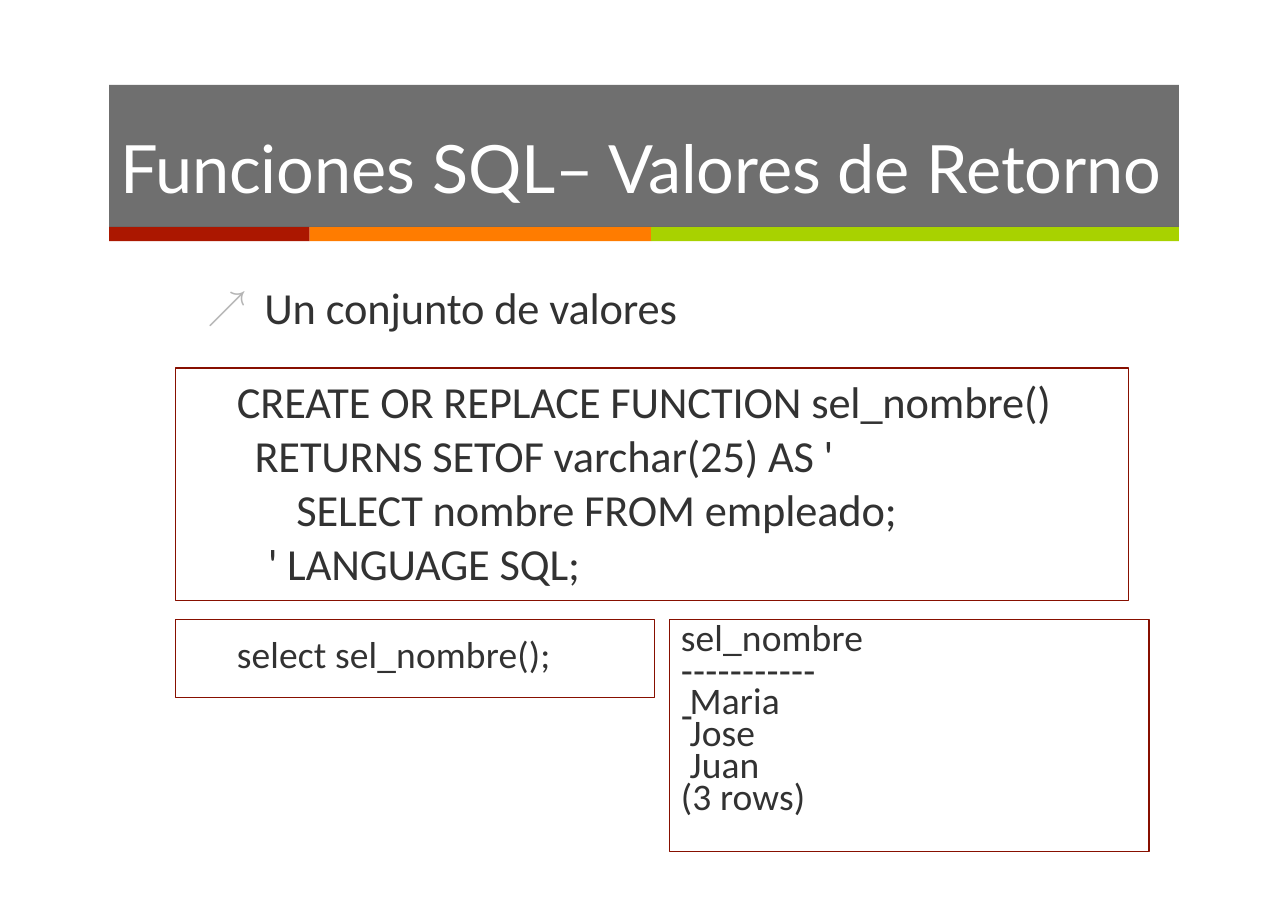
from dataclasses import dataclass

from lxml.etree import SubElement
from pptx import Presentation
from pptx.dml.color import RGBColor
from pptx.enum.shapes import MSO_SHAPE
from pptx.enum.text import MSO_ANCHOR, PP_ALIGN
from pptx.oxml.ns import qn
from pptx.shapes.autoshape import Shape
from pptx.slide import Slide
from pptx.util import Inches, Pt


@dataclass(frozen=True)
class Theme:
    """Colours, fonts and type sizes of the slide."""
    ink: str = "323232"
    white: str = "FFFFFF"
    outline: str = "870F00"
    bullet: str = "B5B5B5"
    stripes: tuple[str, ...] = ("AB1700", "FF7C00", "A8D200")
    title_font: str = "Lato"
    body_font: str = "Calibri"
    bullet_font: str = "Arial"
    title_size: float = 43.5
    body_size: float = 29
    result_size: float = 24.5
    outline_width: float = 0.78


@dataclass(frozen=True)
class Box:
    """Position and size in inches."""
    left: float
    top: float
    width: float
    height: float


@dataclass(frozen=True)
class Style:
    """Font settings, with tracking in points."""
    font: str
    size: float
    color: str
    tracking: float


@dataclass(frozen=True)
class Line:
    """One paragraph with its indent in inches and spacing in points."""
    text: str
    indent: float = 0
    before: float = 0
    pitch: float | None = None


THEME = Theme()
TITLE = Style(THEME.title_font, THEME.title_size, THEME.white, -0.1)
BODY = Style(THEME.body_font, THEME.body_size, THEME.ink, -0.1)
RESULT = Style(THEME.body_font, THEME.result_size, THEME.ink, 0.1)

BANNER = Box(0.99, 0.77, 9.71, 1.29)
STRIPE_WIDTHS = (1.82, 3.1, 4.79)
STRIPE_HEIGHT = 0.13
CODE_PITCH = 35.2
CODE = (
    Line("CREATE OR REPLACE FUNCTION sel_nombre()", 0.56, 3.3, CODE_PITCH),
    Line("RETURNS SETOF varchar(25) AS '", 0.72, 0, CODE_PITCH),
    Line("SELECT nombre FROM empleado;", 1.1, 0, CODE_PITCH),
    Line("' LANGUAGE SQL;", 0.84, 0, CODE_PITCH),
)
RESULT_WIDTH = 1.68
DASHES_WIDTH = 1.28
RESULT_TOP = 5.55
RESULT_PITCH = 0.29
RESULTS = (
    Line("sel_nombre", 0, 1.4),
    Line("‐" * 12, 0, 1.4),
    Line("Maria", 0.08, 1.4),
    Line("Jose", 0.08, 1.4),
    Line("Juan", 0.08, 1.4),
    Line("(3 rows)", 0, 1.4),
)


def add_rectangle(slide: Slide, box: Box, fill: str | None = None) -> Shape:
    """Add a filled rectangle, or an outlined one when no fill is given."""
    shape = slide.shapes.add_shape(
        MSO_SHAPE.RECTANGLE, Inches(box.left), Inches(box.top), Inches(box.width), Inches(box.height))
    shape.shadow.inherit = False
    if fill:
        shape.fill.solid()
        shape.fill.fore_color.rgb = RGBColor.from_string(fill)
        shape.line.fill.background()
    else:
        shape.fill.background()
        shape.line.color.rgb = RGBColor.from_string(THEME.outline)
        shape.line.width = Pt(THEME.outline_width)
    return shape


def add_text_box(slide: Slide, box: Box) -> Shape:
    """Add an empty text box."""
    return slide.shapes.add_textbox(
        Inches(box.left), Inches(box.top), Inches(box.width), Inches(box.height))


def write_lines(shape: Shape, lines: tuple[Line, ...], style: Style, inset: float) -> None:
    """Write paragraphs from the top of a shape in one style."""
    frame = shape.text_frame
    frame.word_wrap = True
    frame.vertical_anchor = MSO_ANCHOR.TOP
    frame.margin_left = frame.margin_right = frame.margin_bottom = 0
    frame.margin_top = Inches(inset)
    frame.text = "\n".join(line.text for line in lines)
    for paragraph, line in zip(frame.paragraphs, lines):
        paragraph.alignment = PP_ALIGN.LEFT
        paragraph.space_before = Pt(line.before)
        if line.pitch:
            paragraph.line_spacing = Pt(line.pitch)
        paragraph._p.get_or_add_pPr().set("marL", str(Inches(line.indent)))
        for run in paragraph.runs:
            run.font.name = style.font
            run.font.size = Pt(style.size)
            run.font.color.rgb = RGBColor.from_string(style.color)
            run.font._element.set("spc", str(round(style.tracking * 100)))


def add_bullet(shape: Shape, symbol: str, hanging: float) -> None:
    """Give the first paragraph a hanging arrow bullet."""
    properties = shape.text_frame.paragraphs[0]._p.get_or_add_pPr()
    properties.set("indent", str(-Inches(hanging)))
    color = SubElement(properties, qn("a:buClr"))
    SubElement(color, qn("a:srgbClr"), val=THEME.bullet)
    SubElement(properties, qn("a:buSzPct"), val="90000")
    SubElement(properties, qn("a:buFont"), typeface=THEME.bullet_font)
    SubElement(properties, qn("a:buChar"), char=symbol)


def add_banner(slide: Slide) -> None:
    """Draw the title banner above its coloured stripes."""
    left = BANNER.left
    for width, color in zip(STRIPE_WIDTHS, THEME.stripes):
        add_rectangle(slide, Box(left, BANNER.top + BANNER.height, width, STRIPE_HEIGHT), color)
        left += width
    banner = add_rectangle(slide, BANNER, THEME.ink)
    fill_color = banner._element.spPr.find(qn("a:solidFill")).find(qn("a:srgbClr"))
    SubElement(fill_color, qn("a:alpha"), val="70000")
    write_lines(banner, (Line("Funciones SQL– Valores de Retorno", 0.1, 27.6),), TITLE, 0.38)


def add_results(slide: Slide) -> None:
    """Draw the result frame and its evenly spaced rows."""
    add_rectangle(slide, Box(6.08, 5.62, 4.35, 2.11))
    for index, line in enumerate(RESULTS):
        width = DASHES_WIDTH if line.text.startswith("‐") else RESULT_WIDTH
        box = Box(6.18, RESULT_TOP + index * RESULT_PITCH, width, 0.44)
        write_lines(add_text_box(slide, box), (line,), RESULT, 0.02)


def main() -> None:
    """Build and save the slide."""
    presentation = Presentation()
    presentation.slide_width = Inches(11.69)
    presentation.slide_height = Inches(8.26)
    slide = presentation.slides.add_slide(presentation.slide_layouts[6])
    add_banner(slide)
    heading = add_text_box(slide, Box(1.87, 2.53, 4.31, 0.51))
    write_lines(heading, (Line("Un conjunto de valores", 0.53, 0.9),), BODY, 0.01)
    add_bullet(heading, "↗", 0.52)
    write_lines(add_rectangle(slide, Box(1.59, 3.34, 8.65, 2.11)), CODE, BODY, 0.05)
    query = add_rectangle(slide, Box(1.59, 5.62, 4.35, 0.71))
    write_lines(query, (Line("select sel_nombre();", 0.56, 8.2),), RESULT, 0.11)
    add_results(slide)
    presentation.save("out.pptx")


if __name__ == "__main__":
    main()
